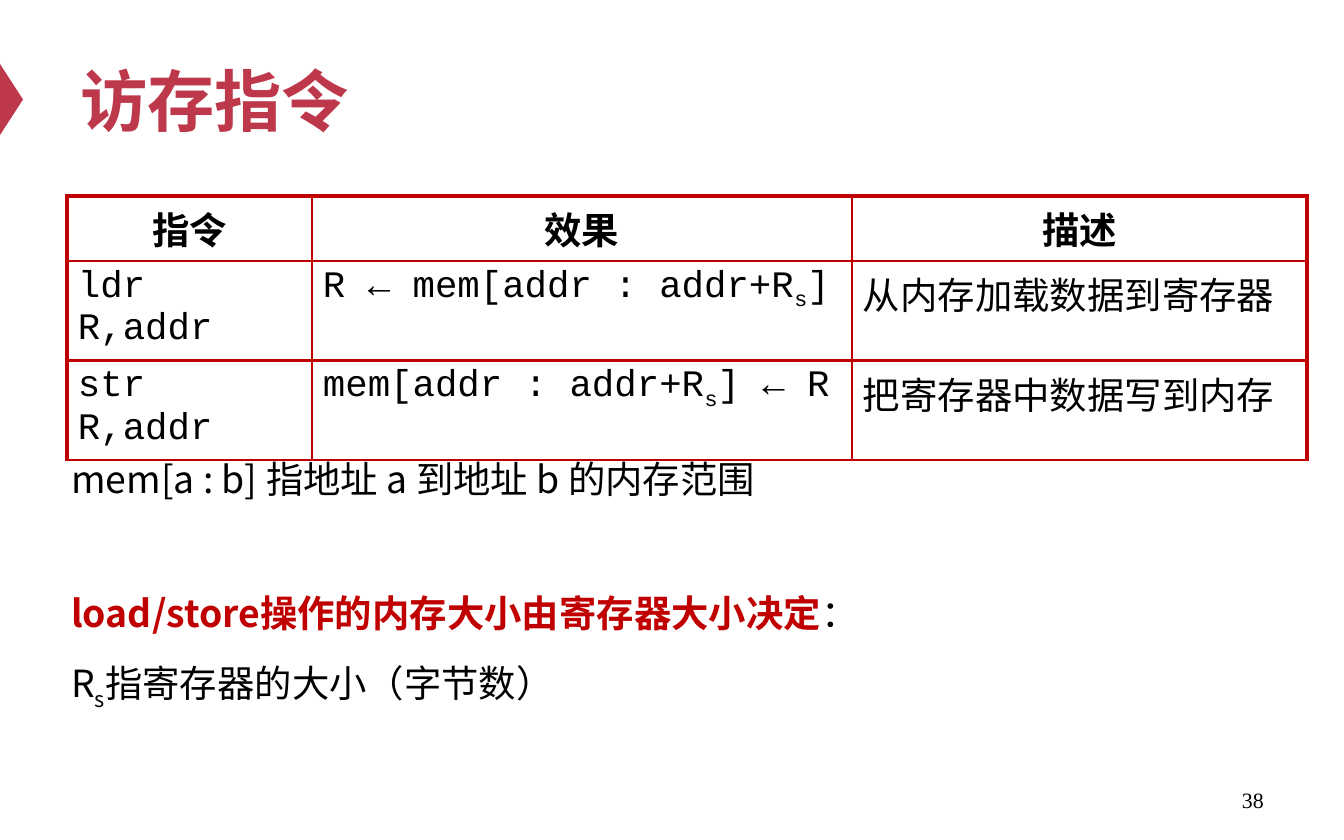
from dataclasses import dataclass

from lxml.etree import SubElement
from pptx import Presentation
from pptx.dml.color import RGBColor
from pptx.enum.shapes import MSO_SHAPE
from pptx.enum.text import MSO_ANCHOR, PP_ALIGN
from pptx.oxml.ns import qn
from pptx.util import Emu, Pt

PX_PER_INCH = 134.4


@dataclass(frozen=True)
class Theme:
    accent: str = "BE384B"
    strong: str = "C00000"
    ink: str = "000000"
    sans: str = "Noto Sans CJK SC"
    heading: str = "Arial"
    code: str = "Courier New"
    serif: str = "Times New Roman"
    title_size: float = 36
    body_size: float = 20
    number_size: float = 11.7
    outer_line: float = 2.25
    inner_line: float = 1.5


THEME = Theme()
BODY = {"name": THEME.sans, "size": Pt(THEME.body_size), "bold": False, "color": THEME.ink}
HEADING = {**BODY, "name": THEME.heading, "bold": True}
CODE = {**BODY, "name": THEME.code}
STRONG = {**BODY, "bold": True, "color": THEME.strong}
TITLE = {"name": THEME.sans, "size": Pt(THEME.title_size), "bold": True, "color": THEME.accent}
NUMBER = {**BODY, "name": THEME.serif, "size": Pt(THEME.number_size)}

INSTRUCTIONS = [
    (["ldr R,addr"], ["R ← mem[addr : addr+R", "s", "]"], ["从内存加载数据到寄存器"]),
    (["str R,addr"], ["mem[addr : addr+R", "s", "] ← R"], ["把寄存器中数据写到内存"]),
]


def px(value):
    return Emu(round(value * 914400 / PX_PER_INCH))


def apply(target, values):
    for attribute, value in values.items():
        setattr(target, attribute, value)


def add_run(paragraph, text, style, subscript=False):
    run = paragraph.add_run()
    run.text = text
    apply(run.font, {key: value for key, value in style.items() if key != "color"})
    run.font.color.rgb = RGBColor.from_string(style["color"])
    properties = run._r.get_or_add_rPr()
    east_asian = THEME.sans if style["name"] == THEME.heading else style["name"]
    SubElement(properties, qn("a:ea")).set("typeface", east_asian)
    if subscript:
        properties.set("baseline", "-25000")


def add_indexed(paragraph, parts, style):
    for index, part in enumerate(parts):
        add_run(paragraph, part, style, subscript=index == 1)


def add_text_frame(slide, left, top, width, height, anchor):
    frame = slide.shapes.add_textbox(px(left), px(top), px(width), px(height)).text_frame
    apply(frame, {"word_wrap": True, "vertical_anchor": anchor})
    return frame


def add_label(slide, bounds, text, style, alignment):
    paragraph = add_text_frame(slide, *bounds, MSO_ANCHOR.MIDDLE).paragraphs[0]
    paragraph.alignment = alignment
    add_run(paragraph, text, style)


def add_marker(slide):
    marker = slide.shapes.add_shape(
        MSO_SHAPE.ISOSCELES_TRIANGLE, px(-24), px(88), px(71), px(23))
    marker.rotation = 90
    marker.shadow.inherit = False
    marker.fill.solid()
    marker.fill.fore_color.rgb = RGBColor.from_string(THEME.accent)
    marker.line.fill.background()


def set_borders(cell, widths):
    properties = cell._tc.get_or_add_tcPr()
    for side, width in widths.items():
        border = SubElement(properties, qn(f"a:ln{side}"), w=str(Pt(width)))
        fill = SubElement(border, qn("a:solidFill"))
        SubElement(fill, qn("a:srgbClr"), val=THEME.strong)


def fill_cell(cell, parts, style, alignment, outer_sides):
    apply(cell, {"margin_left": px(11), "margin_right": px(11),
                 "margin_top": px(5), "margin_bottom": px(5)})
    set_borders(cell, {side: THEME.outer_line if side in outer_sides else THEME.inner_line
                       for side in "LRTB"})
    cell.fill.background()
    paragraph = cell.text_frame.paragraphs[0]
    paragraph.alignment = alignment
    add_indexed(paragraph, parts, style)


def add_instruction_table(slide):
    column_widths, row_heights = [245, 540, 455], [65, 96, 96]
    table = slide.shapes.add_table(
        len(row_heights), len(column_widths), px(67), px(196),
        px(sum(column_widths)), px(sum(row_heights))).table
    apply(table, {"first_row": False, "horz_banding": False})
    for column, width in zip(table.columns, column_widths):
        column.width = px(width)
    for row, height in zip(table.rows, row_heights):
        row.height = px(height)
    header = (["指令"], ["效果"], ["描述"])
    for row_index, contents in enumerate([header, *INSTRUCTIONS]):
        is_header = row_index == 0
        styles = [HEADING] * 3 if is_header else [CODE, CODE, BODY]
        alignment = PP_ALIGN.CENTER if is_header else PP_ALIGN.LEFT
        for column_index, (parts, style) in enumerate(zip(contents, styles)):
            outer_sides = ("L", "", "R")[column_index] + ("T" if is_header else "")
            fill_cell(table.cell(row_index, column_index), parts, style, alignment, outer_sides)


def add_explanation(slide):
    frame = add_text_frame(slide, 58, 427, 1239, 331, MSO_ANCHOR.TOP)
    memory_range = frame.paragraphs[0]
    size_rule, register_size = frame.add_paragraph(), frame.add_paragraph()
    for paragraph in frame.paragraphs:
        paragraph.line_spacing = 1.5
    size_rule.space_before = Pt(36)
    add_run(memory_range, "mem[a : b] 指地址 a 到地址 b 的内存范围", BODY)
    add_run(size_rule, "load/store操作的内存大小由寄存器大小决定", STRONG)
    add_run(size_rule, "：", BODY)
    add_indexed(register_size, ["R", "s", "指寄存器的大小（字节数）"], BODY)


def main():
    presentation = Presentation()
    apply(presentation, {"slide_width": px(1344), "slide_height": px(840)})
    slide = presentation.slides.add_slide(presentation.slide_layouts[6])
    add_marker(slide)
    add_label(slide, (964, 778, 313, 44), "38", NUMBER, PP_ALIGN.RIGHT)
    add_label(slide, (67, 34, 1210, 132), "访存指令", TITLE, PP_ALIGN.LEFT)
    add_instruction_table(slide)
    add_explanation(slide)
    presentation.save("out.pptx")


if __name__ == "__main__":
    main()
